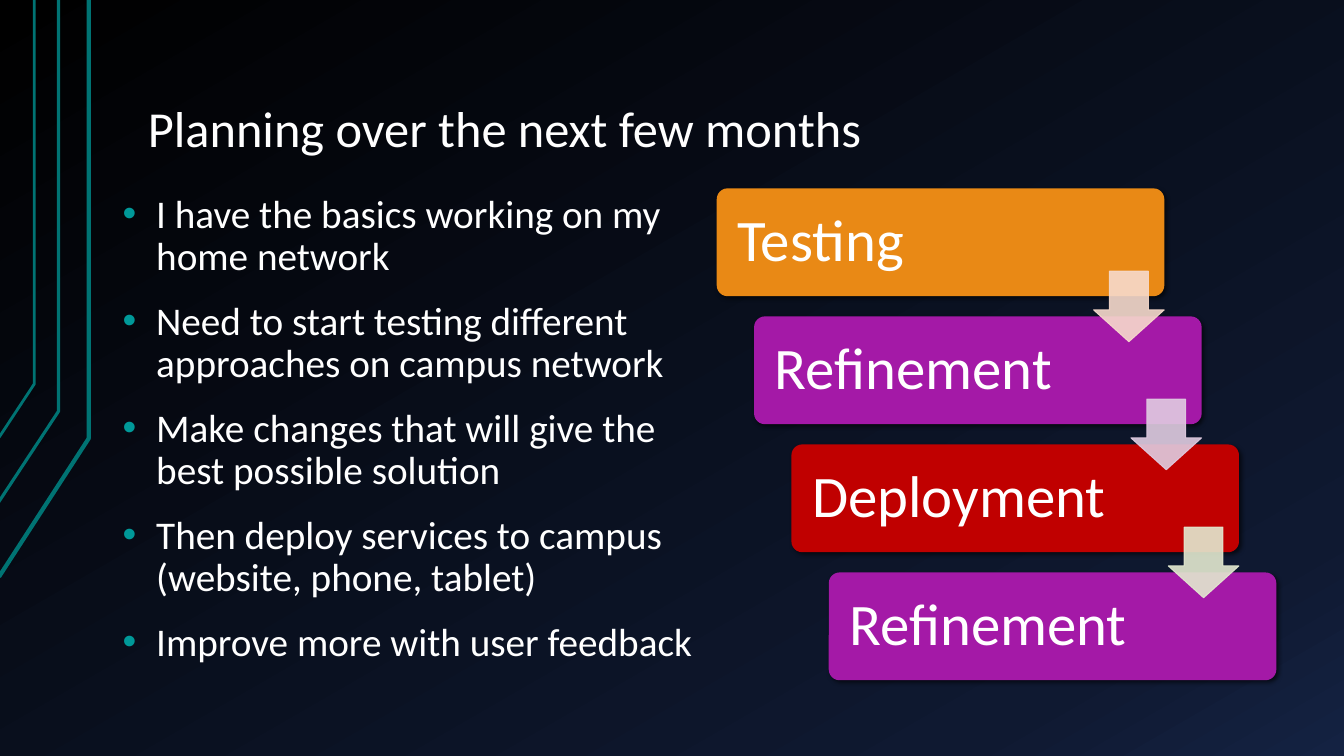
from copy import deepcopy

from lxml import etree
from pptx import Presentation
from pptx import util as u
from pptx.dml.color import RGBColor
from pptx.enum import shapes, text
from pptx.oxml import ns

WHITE = RGBColor(0xFF, 0xFF, 0xFF)
BLACK = RGBColor(0x00, 0x00, 0x00)
NAVY = RGBColor(0x0F, 0x19, 0x31)
BLUE = RGBColor(0x14, 0x22, 0x42)
TEAL = RGBColor(0x00, 0x73, 0x73)
BULLET = RGBColor(0x00, 0x99, 0x99)
ORANGE = RGBColor(0xE9, 0x89, 0x15)
PURPLE = RGBColor(0xA4, 0x19, 0xA7)
RED = RGBColor(0xC0, 0x00, 0x00)
PEACH = RGBColor(0xF7, 0xDA, 0xCC)
LILAC = RGBColor(0xE0, 0xCC, 0xE1)
SAGE = RGBColor(0xE3, 0xE9, 0xD0)

TITLE = "Planning over the next few months"
POINTS = [
    "I have the basics working on my home network",
    "Need to start testing different approaches on campus network",
    "Make changes that will give the best possible solution",
    "Then deploy services to campus (website, phone, tablet)",
    "Improve more with user feedback",
]
STAGES = [
    ("Testing", ORANGE),
    ("Refinement", PURPLE),
    ("Deployment", RED),
    ("Refinement", PURPLE),
]
ARROW_COLORS = [PEACH, LILAC, SAGE]
BACKGROUND = [(0, BLACK), (0.85, NAVY), (1, BLUE)]
CORNER_LINES = [
    (3, [(-0.7, 412), (63.4, 313.2), (63.4, 0)]),
    (2.25, [(-1.4, 359.3), (41.8, 293.8), (41.8, 0)]),
    (2, [(-0.7, 312.5), (24.5, 274.3), (24.5, 0)]),
]

CARD_LEFT, CARD_TOP, CARD_WIDTH, CARD_HEIGHT = 512, 134.6, 319.7, 77
ARROW_LEFT, ARROW_TOP, ARROW_SIZE = 781.2, 193.7, 50.4
STEP_X, STEP_Y = 26.67, 91.44


def add_xml(parent, tag, **attributes):
    child = etree.SubElement(parent, ns.qn(tag))
    for name, value in attributes.items():
        child.set(name, str(value))
    return child


def write(shape, lines, size, anchor, margins, before=0, bullet=None):
    frame = shape.text_frame
    frame.word_wrap = True
    frame.vertical_anchor = anchor
    frame.margin_left = frame.margin_right = u.Pt(margins[0])
    frame.margin_top = frame.margin_bottom = u.Pt(margins[1])
    for index, line in enumerate(lines):
        para = frame.add_paragraph() if index else frame.paragraphs[0]
        para.alignment = text.PP_ALIGN.LEFT
        para.line_spacing = 0.9
        para.space_before = u.Pt(before)
        span = para.add_run()
        span.text = line
        span.font.size = u.Pt(size)
        span.font.name = "Calibri"
        span.font.color.rgb = WHITE
        if bullet:
            props = para._p.get_or_add_pPr()
            props.set("marL", str(u.Pt(24)))
            props.set("indent", str(-u.Pt(24)))
            color = add_xml(props, "a:buClr")
            add_xml(color, "a:srgbClr", val=bullet)
            add_xml(props, "a:buFont", typeface="Arial")
            add_xml(props, "a:buChar", char="•")


def add_preset(page, kind, left, top, width, height, color, adjustments):
    shape = page.shapes.add_shape(kind, u.Pt(left), u.Pt(top), u.Pt(width), u.Pt(height))
    shape.shadow.inherit = False
    shape.fill.solid()
    shape.fill.fore_color.rgb = color
    for index, value in enumerate(adjustments):
        shape.adjustments[index] = value
    return shape


def paint_background(page):
    fill = page.background.fill
    fill.gradient()
    fill.gradient_angle = 300
    stop_list = page.element.find(".//" + ns.qn("a:gsLst"))
    stop_list.append(deepcopy(stop_list[-1]))
    for stop, (position, color) in zip(fill.gradient_stops, BACKGROUND):
        stop.position = position
        stop.color.rgb = color


def add_corner_line(page, width, points):
    start, *rest = [(u.Pt(x), u.Pt(y)) for x, y in points]
    builder = page.shapes.build_freeform(*start)
    builder.add_line_segments(rest, close=False)
    shape = builder.convert_to_shape()
    shape.shadow.inherit = False
    shape.fill.background()
    shape.line.color.rgb = TEAL
    shape.line.width = u.Pt(width)


def add_card(page, index, label, color):
    card = add_preset(page, shapes.MSO_SHAPE.ROUNDED_RECTANGLE,
                      CARD_LEFT + index * STEP_X, CARD_TOP + index * STEP_Y,
                      CARD_WIDTH, CARD_HEIGHT, color, [0.1])
    card.line.fill.background()
    effects = card.element.spPr.find(ns.qn("a:effectLst"))
    shadow = add_xml(effects, "a:outerShdw", blurRad=u.Pt(3), dist=u.Pt(2),
                     dir=45 * 60000, algn="ctr", rotWithShape=0)
    shade = add_xml(shadow, "a:srgbClr", val=BLACK)
    add_xml(shade, "a:alpha", val=60000)
    write(card, [label], 42, text.MSO_ANCHOR.MIDDLE, (12.6, 12))


def add_arrow(page, index, color):
    arrow = add_preset(page, shapes.MSO_SHAPE.DOWN_ARROW,
                       ARROW_LEFT + index * STEP_X, ARROW_TOP + index * STEP_Y,
                       ARROW_SIZE, ARROW_SIZE, color, [0.55, 0.45])
    arrow.line.color.rgb = color
    arrow.line.width = u.Pt(0.75)
    for shade in arrow.element.spPr.iter(ns.qn("a:srgbClr")):
        add_xml(shade, "a:alpha", val=90000)


def main():
    deck = Presentation()
    deck.slide_width, deck.slide_height = u.Pt(960), u.Pt(540)
    page = deck.slides.add_slide(deck.slide_layouts[6])
    paint_background(page)
    for width, points in CORNER_LINES:
        add_corner_line(page, width, points)

    title = page.shapes.add_textbox(u.Pt(96), u.Pt(21.6), u.Pt(816), u.Pt(96.5))
    write(title, [TITLE], 36, text.MSO_ANCHOR.BOTTOM, (9.6, 4.8))
    body = page.shapes.add_textbox(u.Pt(78), u.Pt(134), u.Pt(438), u.Pt(351.4))
    write(body, POINTS, 28, text.MSO_ANCHOR.TOP, (9.6, 4.8), before=16, bullet=BULLET)

    for index, (label, color) in enumerate(STAGES):
        add_card(page, index, label, color)
    for index, color in enumerate(ARROW_COLORS):
        add_arrow(page, index, color)
    deck.save("out.pptx")


if __name__ == "__main__":
    main()
